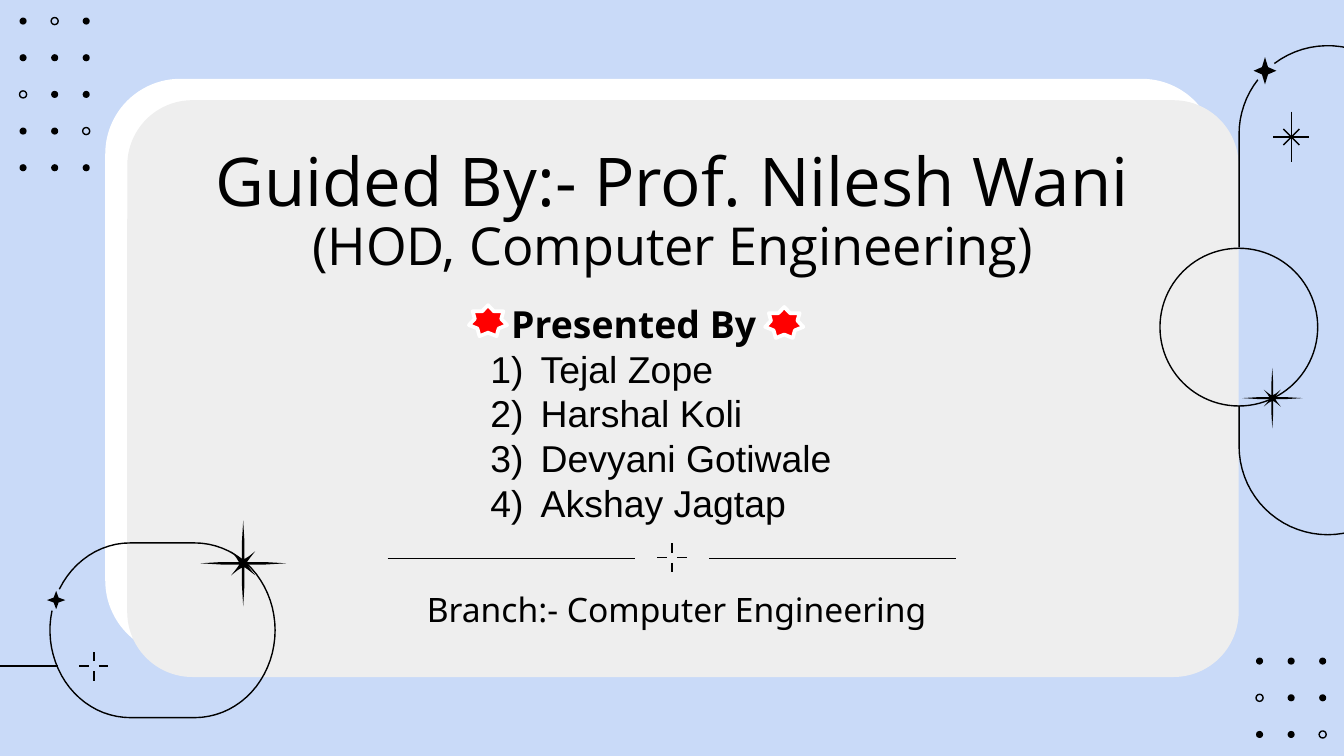
"""Build a title slide with a guide, a list of presenters and line ornaments."""
import math

from lxml import etree
from pptx import Presentation
from pptx import util as u
from pptx.dml.color import RGBColor
from pptx.enum import shapes, text
from pptx.oxml.ns import qn

Pt = u.Pt
SKY = RGBColor(0xC9, 0xDA, 0xF8)
WHITE = RGBColor(0xFF, 0xFF, 0xFF)
PANEL = RGBColor(0xEE, 0xEE, 0xEE)
BLACK = RGBColor(0, 0, 0)
RED = RGBColor(0xFF, 0, 0)
STAR = shapes.MSO_SHAPE


def arc(cx, cy, rx, ry, start, end):
    """Return points along an ellipse, angles in degrees clockwise from the right."""
    n = max(2, round(abs(end - start) / 5))
    angles = [math.radians(start + (end - start) * i / n) for i in range(n + 1)]
    return [(cx + rx * math.cos(a), cy + ry * math.sin(a)) for a in angles]


class Deck:
    """Hold the style and the current slide."""

    def __init__(self, prs):
        self.s = prs.slides.add_slide(prs.slide_layouts[6])
        self.s.background.fill.solid()
        self.s.background.fill.fore_color.rgb = SKY

    def paint(self, sp, fill=None, line=None, width=0.75):
        sp.shadow.inherit = False
        if fill is None:
            sp.fill.background()
        else:
            sp.fill.solid()
            sp.fill.fore_color.rgb = fill
        if line is None:
            sp.line.fill.background()
        else:
            sp.line.color.rgb = line
            sp.line.width = Pt(width)

    def shape(self, kind, x, y, w, h, adj=None, **style):
        sp = self.s.shapes.add_shape(kind, Pt(x), Pt(y), Pt(w), Pt(h))
        if adj is not None:
            sp.adjustments[0] = adj
        self.paint(sp, **style)

    def line(self, x1, y1, x2, y2):
        sp = self.s.shapes.add_connector(
            shapes.MSO_CONNECTOR.STRAIGHT, Pt(x1), Pt(y1), Pt(x2), Pt(y2))
        sp.line.color.rgb = BLACK
        sp.line.width = Pt(0.75)
        etree.SubElement(sp._element.spPr, qn("a:effectLst"))

    def outline(self, points, close=False, **style):
        pts = [(Pt(x), Pt(y)) for x, y in points]
        fb = self.s.shapes.build_freeform(*pts[0], scale=1.0)
        fb.add_line_segments(pts[1:], close=close)
        self.paint(fb.convert_to_shape(), **style)

    def dots(self, x, y, rows, hollow):
        d = 3.8
        for row in range(rows):
            for col in range(3):
                style = {"line": BLACK} if (row, col) in hollow else {"fill": BLACK}
                self.shape(STAR.OVAL, x + 16.9 * col - d / 2,
                           y + 19.65 * row - d / 2, d, d, **style)

    def crosshair(self, cx, cy):
        for dx, dy in ((0, -1), (0, 1), (1, 0), (-1, 0)):
            self.line(cx + 2.7 * dx, cy + 2.7 * dy, cx + 7.8 * dx, cy + 7.8 * dy)

    def asterisk(self, cx, cy):
        for dx, dy in ((0, 13.6), (4.3, 4.3), (4.3, -4.3), (9.6, 0)):
            self.line(cx - dx, cy - dy, cx + dx, cy + dy)

    def flare(self, cx, cy, r):
        quarter = [(0, -1), (0.03, -0.5), (0.03, -0.1), (0.13, -0.16),
                   (0.28, -0.28), (0.16, -0.13), (0.09, -0.03), (0.5, -0.03)]
        points = []
        for _ in range(4):
            points += [(cx + r * x, cy + r * y) for x, y in quarter]
            quarter = [(-y, x) for x, y in quarter]
        self.outline(points, close=True, fill=BLACK)

    def sparkle(self, cx, cy, w, h):
        self.shape(STAR.STAR_4_POINT, cx - w / 2, cy - h / 2, w, h, 0.19, fill=BLACK)

    def textbox(self, x, y, w, h, inset, anchor):
        tf = self.s.shapes.add_textbox(Pt(x), Pt(y), Pt(w), Pt(h)).text_frame
        tf.word_wrap = True
        tf.vertical_anchor = anchor
        tf.margin_left = tf.margin_right = Pt(7.2)
        tf.margin_top, tf.margin_bottom = (Pt(m) for m in inset)
        return tf

    def format(self, p, sizes, font, bold=False):
        for r, size in zip(p.runs, sizes):
            r.font.size = Pt(size)
            r.font.name = font
            r.font.bold = bold
            r.font.color.rgb = BLACK

    def centred(self, box, content, sizes, font, inset, anchor, spacing=1.0):
        p = self.textbox(*box, inset, anchor).paragraphs[0]
        p.text = content
        p.alignment = text.PP_ALIGN.CENTER
        p.line_spacing = spacing
        self.format(p, sizes, font)

    def numbered(self, box, heading, items):
        tf = self.textbox(*box, (3.6, 3.6), text.MSO_ANCHOR.TOP)
        p = tf.paragraphs[0]
        p.text = heading
        p._p.get_or_add_pPr().set("marL", str(Pt(11.2)))
        self.format(p, [20], "Open Sans", True)
        for item in items:
            p = tf.add_paragraph()
            p.text = item
            pPr = p._p.get_or_add_pPr()
            pPr.set("marL", str(Pt(27)))
            pPr.set("indent", str(-Pt(27)))
            etree.SubElement(pPr, qn("a:buFont"), typeface="Arial")
            etree.SubElement(pPr, qn("a:buAutoNum"), type="arabicParenR")
            self.format(p, [20], "Arial")


def main():
    prs = Presentation()
    prs.slide_width, prs.slide_height = Pt(720), Pt(405)
    d = Deck(prs)

    d.shape(STAR.ROUNDED_RECTANGLE, 56.4, 42.2, 595.4, 309, 0.13, fill=WHITE)
    d.shape(STAR.ROUNDED_RECTANGLE, 68.2, 53.7, 595.4, 309, 0.113, fill=PANEL)

    d.asterisk(691.8, 73.4)
    d.sparkle(677.7, 37.9, 12.2, 14.6)
    cx, r, top, bottom = 711.3, 47.5, 72, 239
    d.outline([(cx - r, 132.5)] + arc(cx, top, r, r, 180, 218), line=BLACK)
    d.outline(arc(cx, top, r, r, 233, 360) + arc(cx, bottom, r, r, 0, 180)
              + [(cx - r, 217.4)], line=BLACK)

    d.dots(674.8, 354.2, 3, {(1, 0), (2, 2)})
    d.dots(12.4, 11.3, 5, {(0, 1), (2, 0), (3, 2)})
    d.crosshair(50.3, 356.9)

    d.centred((84.2, 57.6, 552.2, 92.9),
              "Guided By:- Prof. Nilesh Wani\v(HOD, Computer Engineering)",
              (36, 28), "Open Sans", (7.2, 2), text.MSO_ANCHOR.BOTTOM, 0.9)
    d.centred((190.8, 310.3, 343.4, 32.4), "Branch:- Computer Engineering",
              [18], "Noto Sans", (7.2, 7.2), text.MSO_ANCHOR.MIDDLE)

    d.sparkle(30.1, 321.5, 9.8, 9.8)
    left, right, cy, rx, ry = 69.8, 104.4, 337.7, 43, 46.8
    d.outline(arc(left, cy, rx, ry, 208, 270) + arc(right, cy, rx, ry, 270, 450)
              + arc(left, cy, rx, ry, 90, 193), line=BLACK)
    d.line(-110.9, 356.9, 31, 356.9)
    d.flare(130.3, 301.8, 23)

    d.line(207.7, 299.2, 340.1, 299.2)
    d.crosshair(360, 298.8)
    d.line(379.9, 299.2, 512.3, 299.2)

    d.shape(STAR.OVAL, 621.4, 133, 84.5, 84.5, line=BLACK)
    d.flare(681.6, 213.3, 16.2)

    d.numbered((255.6, 157.7, 220.3, 128.2), "Presented By",
               ("Tejal Zope", "Harshal Koli", "Devyani Gotiwale", "Akshay Jagtap"))
    for x, y in ((251.2, 163.5), (409.9, 164.5)):
        d.shape(STAR.STAR_7_POINT, x, y, 20.5, 16.6, fill=RED, line=WHITE, width=2)

    prs.save("out.pptx")


if __name__ == "__main__":
    main()
